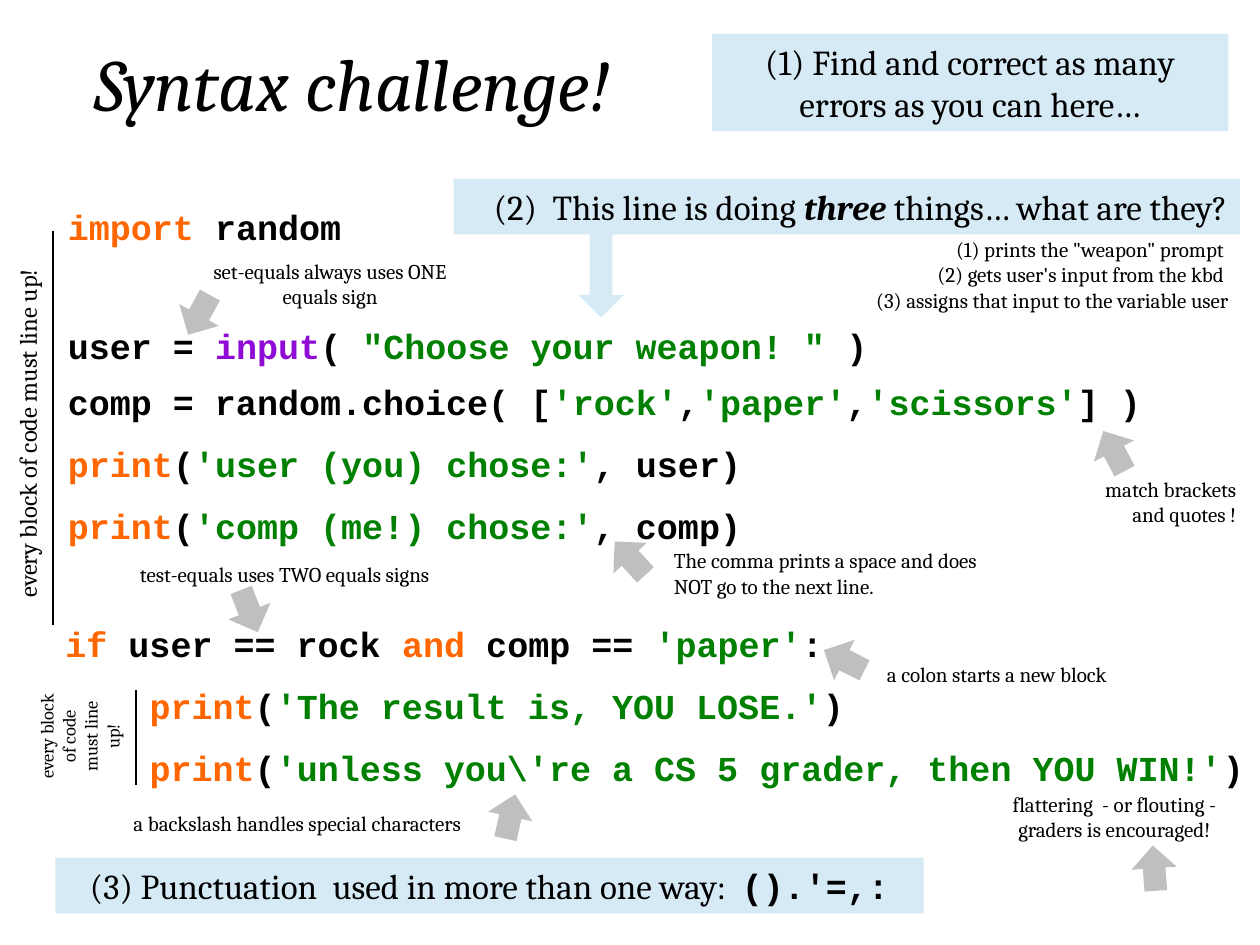
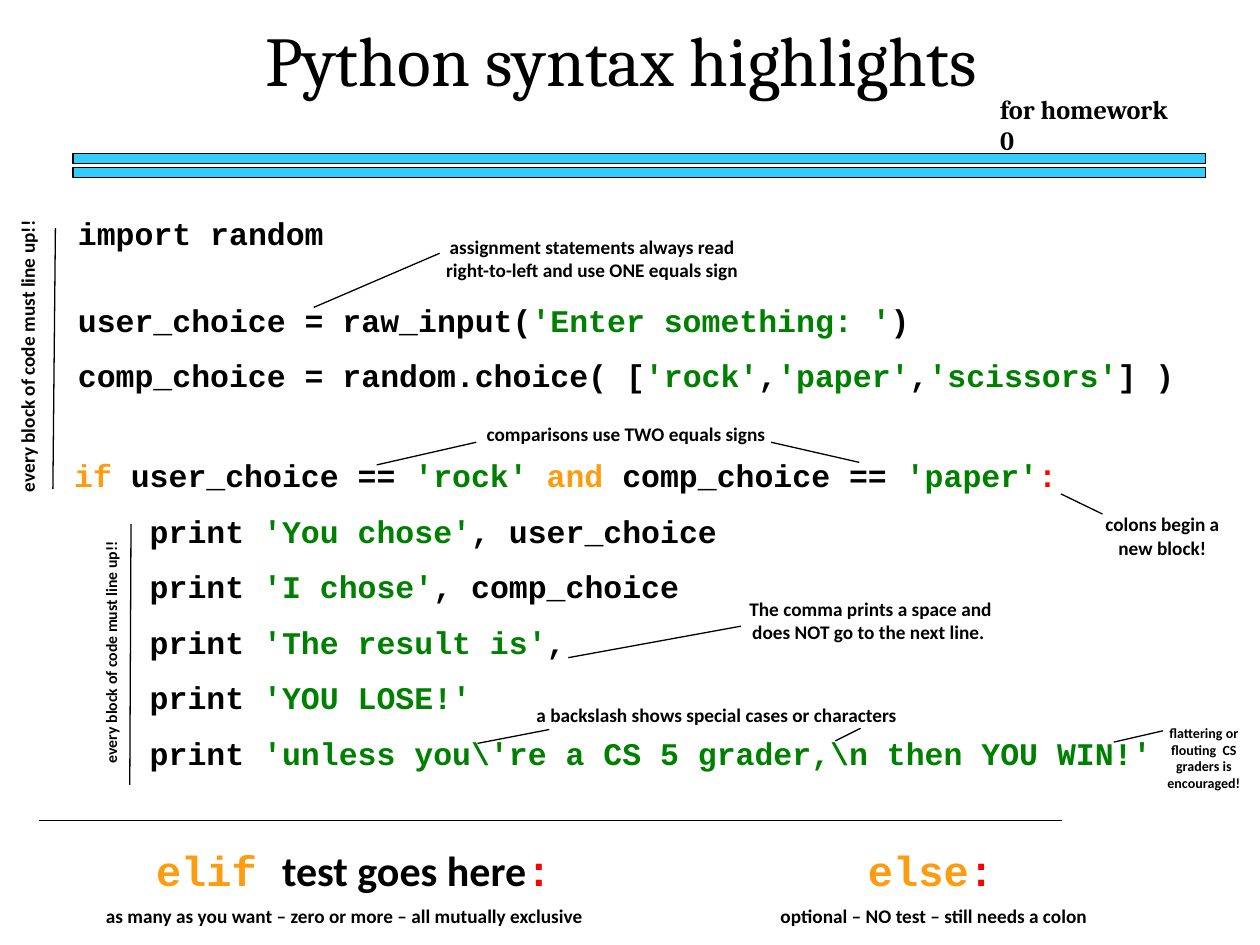
from pptx import Presentation
from pptx.dml.color import RGBColor
from pptx.enum.shapes import MSO_CONNECTOR, MSO_SHAPE as SHAPE
from pptx.enum.text import MSO_ANCHOR, PP_ALIGN
from pptx.oxml.ns import qn
from pptx.util import Emu, Pt
from lxml import etree

PX = 9144  # 100 px to the inch
L, C, R = PP_ALIGN.LEFT, PP_ALIGN.CENTER, PP_ALIGN.RIGHT
PALE, GREY, BAR = "D6EAF6", "BFBFBF", "33CCFF"
BLACK, GREEN = "000000", "008000"

SERIF = dict(name="Cambria", size=12, bold=False, italic=False, color=BLACK)
BIG = SERIF | dict(size=20)
SANS = SERIF | dict(name="Calibri", size=11, bold=True)
CODE = SERIF | dict(name="Courier New", size=20, bold=True)
CODE_2 = CODE | dict(size=18)
CLAUSE = CODE | dict(size=24)

STRING = dict(color=GREEN)
WORD = dict(color="FF6600")
BUILTIN = dict(color="900BD5")
WORD_2 = dict(color="FE9C11")
COLON = dict(color="FF0000")


def rgb(value):
    return RGBColor.from_string(value)


def add_text(s, box, lines, fmt, align=L, fill=None, rot=0):
    """Add a text box; a line is a list of strings and (string, changes to fmt)."""
    sp = s.shapes.add_textbox(*(Emu(v * PX) for v in box))
    sp.rotation = rot
    if fill:
        sp.fill.solid()
        sp.fill.fore_color.rgb = rgb(fill)
    tf = sp.text_frame
    tf.word_wrap = True
    tf.vertical_anchor = MSO_ANCHOR.TOP
    for i, line in enumerate(lines):
        p = tf.paragraphs[0] if i == 0 else tf.add_paragraph()
        p.alignment = align
        if i and fmt["name"] == "Courier New":
            p.space_before = Pt(round(fmt["size"] * 0.565, 1))
        for part in [line] if isinstance(line, str) else line:
            text, changes = (part, {}) if isinstance(part, str) else part
            r = p.add_run()
            r.text = text
            for key, value in (fmt | changes).items():
                if key == "color":
                    r.font.color.rgb = rgb(value)
                else:
                    setattr(r.font, key, Pt(value) if key == "size" else value)


def add_lines(s, ends):
    for line in ends:
        cn = s.shapes.add_connector(MSO_CONNECTOR.STRAIGHT, *(Emu(v * PX) for v in line))
        cn.line.color.rgb = rgb(BLACK)
        cn.line.width = Pt(0.75)
        etree.SubElement(cn._element.spPr, qn("a:effectLst"))


prs = Presentation()
prs.slide_width, prs.slide_height = Emu(1000 * PX), Emu(750 * PX)
blank = prs.slide_layouts[6]
choices = [("'rock'", STRING), ",", ("'paper'", STRING), ",", ("'scissors'", STRING), "] )"]

# Slide 1: syntax challenge
s = prs.slides.add_slide(blank)
for box, lines in [
    ((44, 253, 900, 44), [
        ["user = ", ("input", BUILTIN), "( ", ('"Choose your weapon! " ', STRING), ")"],
    ]),
    ((44, 297, 923, 145), [
        ["comp = random.choice( [", *choices],
        [("print", WORD), "(", ("'user (you) chose:'", STRING), ", user)"],
        [("print", WORD), "(", ("'comp (me!) chose:'", STRING), ", comp)"],
    ]),
    ((42, 489, 958, 145), [
        [("if ", WORD), "user == rock ", ("and ", WORD), "comp == ", ("'paper'", STRING), ":"],
        ["    ", ("print", WORD), "(", ("'The result is, YOU LOSE.'", STRING), ")"],
        ["    ", ("print", WORD), "(",
         ("'unless you\\'re a CS 5 grader, then YOU WIN!'", STRING), ")"],
    ]),
    ((44, 158, 242, 44), [[("import", WORD), " random"]]),
]:
    add_text(s, box, lines, CODE)

add_text(s, (661, 183, 324, 71), [
    '(1) prints the "weapon" prompt ',
    "(2) gets user's input from the kbd ",
    "(3) assigns that input to the variable user",
], SERIF, R, "FFFFFF")

for x, y, h, rot, fill in [
    (387, 630, 36, 192.4, GREY),
    (140, 232, 36, 28.8, GREY),
    (180, 467, 36, 338.6, GREY),
    (652, 506, 36, 116.6, GREY),
    (482, 425, 36, 137.4, GREY),
    (866, 340, 36, 152.1, GREY),
    (898, 671, 36, 176.1, GREY),
    (459, 180, 72, 0, PALE),
]:
    sp = s.shapes.add_shape(SHAPE.DOWN_ARROW, *(Emu(v * PX) for v in (x, y, 36, h)))
    sp.rotation = rot
    sp.shadow.inherit = False
    sp.fill.solid()
    sp.fill.fore_color.rgb = rgb(fill)
    sp.line.fill.background()

for box, note, align in [
    ((89, 638, 294, 30), "a backslash handles special characters", C),
    ((783, 623, 203, 50), "flattering  - or flouting - graders is encouraged!", C),
    ((89, 441, 274, 30), "test-equals uses TWO equals signs", C),
    ((694, 520, 214, 30), "a colon starts a new block", L),
    ((525, 430, 268, 50), "The comma prints a space and does NOT go to the next line.", L),
    ((158, 200, 208, 50), "set-equals always uses ONE equals sign", C),
    ((842, 373, 149, 50), "match brackets and quotes !", R),
]:
    add_text(s, box, [note], SERIF, align)

line_up = "every block of code must line up!"
add_text(s, (-128, 317, 300, 34), [line_up], SERIF | dict(size=14), rot=270)
add_text(s, (19, 544, 89, 81), [line_up], SERIF | dict(size=10.5), C, rot=270)
add_lines(s, [(42, 496, 42, 183), (108, 623, 108, 548)])

for box, line, align in [
    ((565, 27, 410, 77), ["(1) Find and correct as many errors as you can here…"], C),
    ((360, 142, 624, 44), ["(2)  This line is doing ", ("three", dict(bold=True, italic=True)),
                           " things… what are they?"], R),
    ((44, 681, 689, 44), ["(3) Punctuation  used in more than one way:  ",
                          ("().'=,:", dict(name="Courier New", bold=True))], C),
]:
    add_text(s, box, [line], BIG, align, PALE)
add_text(s, (17, 25, 525, 81), ["Syntax challenge!"], SERIF | dict(size=42, italic=True), C)

# Slide 2: syntax highlights
s = prs.slides.add_slide(blank)
add_text(s, (175, 8, 636, 77), ["Python syntax highlights"], SERIF | dict(size=40), C)
add_text(s, (784, 69, 164, 35), ["for homework 0"], SERIF | dict(size=15, bold=True))
for y in (122, 133):
    sp = s.shapes.add_shape(SHAPE.RECTANGLE, *(Emu(v * PX) for v in (58, y, 899, 8)))
    sp.shadow.inherit = False
    sp.fill.solid()
    sp.fill.fore_color.rgb = rgb(BAR)
    sp.line.color.rgb = rgb(BLACK)
    sp.line.width = Pt(0.75)

for box, lines in [
    ((52, 165, 242, 40), ["import random"]),
    ((52, 234, 900, 40), [["user_choice = raw_input(", ("'Enter something: '", STRING), ")"]]),
    ((52, 278, 923, 40), [["comp_choice = random.choice( [", *choices]]),
    ((49, 357, 924, 268), [
        [("if ", WORD_2), "user_choice == ", ("'rock' ", STRING), ("and ", WORD_2),
         "comp_choice == ", ("'paper'", STRING), (":", COLON)],
        ["    print ", ("'You chose'", STRING), ", user_choice"],
        ["    print ", ("'I chose'", STRING), ", comp_choice"],
        ["    print ", ("'The result is'", STRING), ","],
        ["    print ", ("'YOU LOSE!'", STRING)],
        ["    print ", ("'unless you\\'re a CS 5 grader,\\n then YOU WIN!'", STRING)],
    ]),
]:
    add_text(s, box, lines, CODE_2)

add_text(s, (114, 665, 337, 51), [
    [("elif ", WORD_2), ("test goes here", dict(name="Calibri")), (":", COLON)],
], CLAUSE)
add_text(s, (679, 665, 130, 51), [[("else", WORD_2), (":", COLON)]], CLAUSE)

for box, note, size in [
    ((67, 713, 413, 28), "as many as you want – zero or more – all mutually exclusive", 11),
    ((608, 713, 270, 28), "optional – NO test – still needs a colon ", 11),
    ((579, 469, 224, 47), "The comma prints a space and does NOT go to the next line. ", 11),
    ((333, 182, 274, 47),
     "assignment statements always read right-to-left and use ONE equals sign", 11),
    ((360, 330, 274, 29), "comparisons use TWO equals signs", 11),
    ((411, 553, 316, 29), "a backslash shows special cases or characters", 11),
    ((914, 570, 83, 64), "flattering or flouting  CS graders is encouraged!", 8),
    ((865, 402, 115, 47), "colons begin a new block!", 11),
]:
    add_text(s, box, [note], SANS | dict(size=size), C)
for box, size in [((-99, 265, 242, 29), 11), ((-13, 502, 202, 25), 9)]:
    add_text(s, box, ["every block of code must line up!!"], SANS | dict(size=size), rot=270)

add_lines(s, [
    (31, 651, 843, 651),
    (44, 181, 42, 388),
    (104, 416, 103, 623),
    (842, 392, 875, 408),
    (451, 522, 588, 497),
    (683, 578, 663, 588),
    (379, 590, 436, 579),
    (884, 589, 923, 580),
    (612, 351, 682, 367),
    (299, 369, 378, 351),
    (249, 244, 349, 201),
])

prs.save("out.pptx")
